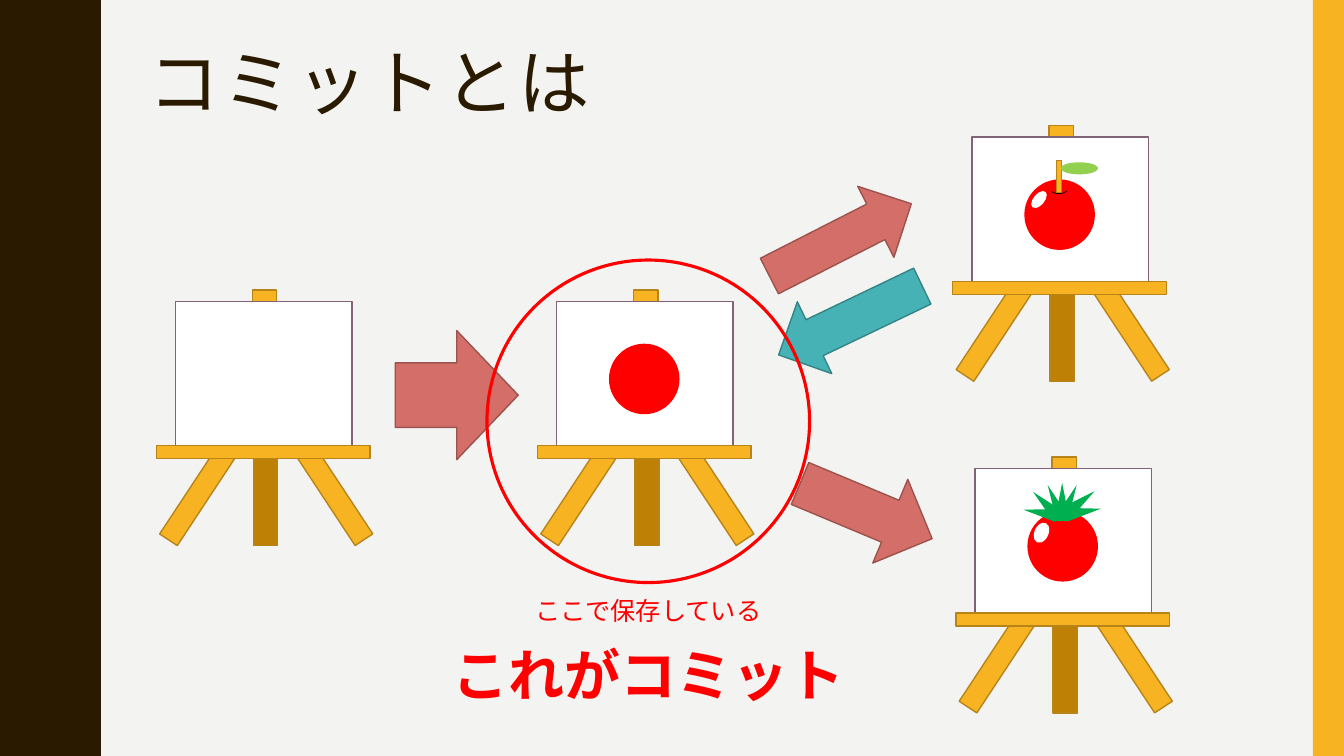
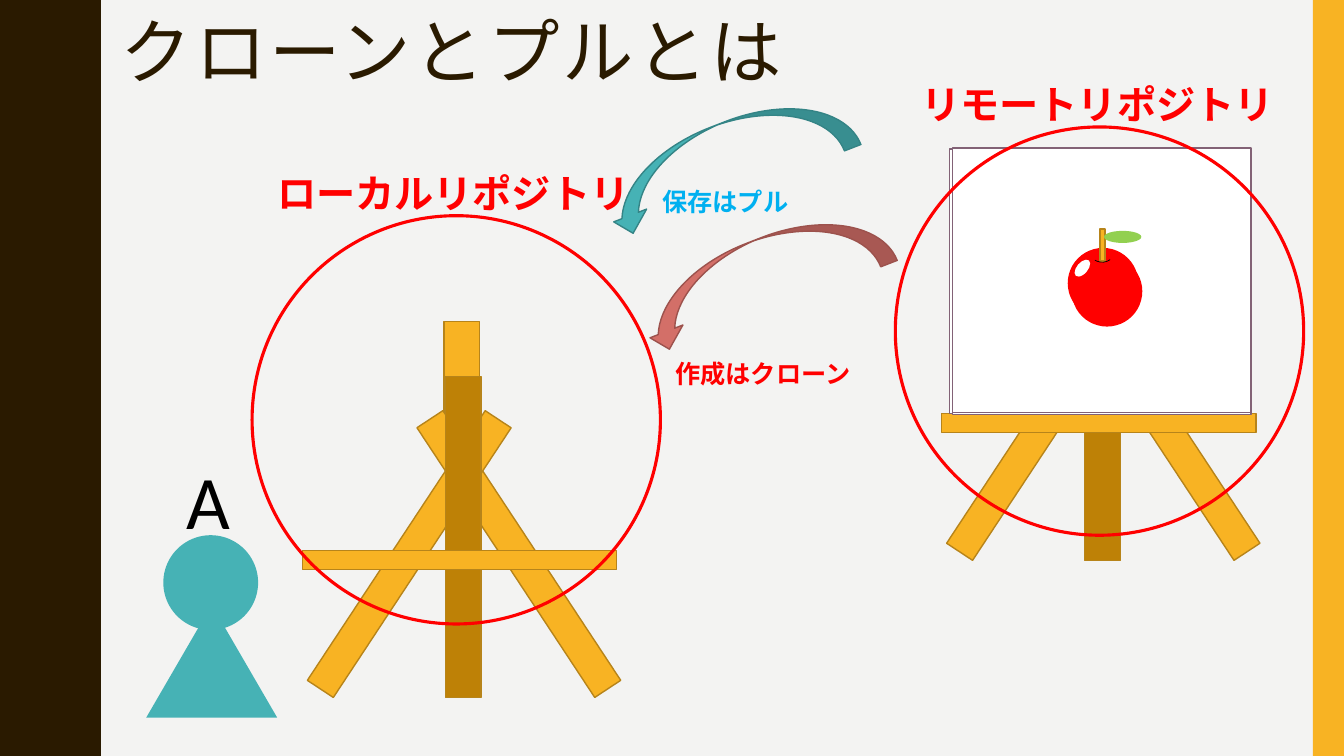
from math import cos, pi

from pptx import Presentation
from pptx.dml.color import RGBColor
from pptx.enum.shapes import MSO_SHAPE
from pptx.enum.text import MSO_ANCHOR, MSO_AUTO_SIZE, PP_ALIGN
from pptx.util import Inches, Pt

DARK, WOOD, WOOD_EDGE, POST = "2A1A00", "F8B323", "B7841A", "BE8106"
RED, ROSE, ROSE_EDGE = "FF0000", "D36F68", "9C524D"
TEAL, TEAL_EDGE = "46B2B5", "348486"
WHITE, FRAME, GREEN, LEAF = "FFFFFF", "826276", "00B050", "92D050"
rgb = RGBColor.from_string

prs = Presentation()
prs.slide_width, prs.slide_height = Inches(13.33), Inches(7.5)
# Grid of 13.33 columns and 7.5 rows
COL, ROW = prs.slide_width / 13.33, prs.slide_height / 7.5


def add(shapes, kind, x, y, w, h, fill=None, line=None, weight=1, rot=0):
    """Add a preset shape placed in grid units."""
    sp = shapes.add_shape(kind, int(x * COL), int(y * ROW), int(w * COL), int(h * ROW))
    sp.shadow.inherit = False
    sp.rotation = rot
    if fill:
        sp.fill.solid()
        sp.fill.fore_color.rgb = rgb(fill)
    else:
        sp.fill.background()
    if line:
        sp.line.color.rgb = rgb(line)
        sp.line.width = Pt(weight)
    else:
        sp.line.fill.background()
    return sp


def style(tf, text, size, color, font="Calibri", bold=False):
    """Fill a text frame with one left-aligned run and return it."""
    p = tf.paragraphs[0]
    p.text = text
    p.alignment = PP_ALIGN.LEFT
    r = p.runs[0]
    r.font.size, r.font.name, r.font.bold = Pt(size), font, bold
    r.font.color.rgb = rgb(color)
    return r


# Slides and titles
layout = prs.slide_layouts[5]
commit, clone = prs.slides.add_slide(layout), prs.slides.add_slide(layout)
for s, text, x, y, w, h in [
    (commit, "コミットとは", 1.37, 0.42, 11.13, 1.12),
    (clone, "クローンとプルとは", 1.1, 0.12, 7.28, 0.95),
]:
    title = s.shapes.title
    title.left, title.top = int(x * COL), int(y * ROW)
    title.width, title.height = int(w * COL), int(h * ROW)
    tf = title.text_frame
    tf.vertical_anchor = MSO_ANCHOR.TOP
    tf.auto_size = MSO_AUTO_SIZE.NONE
    r = style(tf, text, 51, DARK, "Roboto Condensed")
    r._r.get_or_add_rPr().set("spc", "200")
    tf.paragraphs[0].line_spacing = 0.9

# Master: background, wavy left band with five waves, right bar
master = prs.slide_master
master.background.fill.solid()
master.background.fill.fore_color.rgb = rgb("F3F3F2")
edge = [(0.875 - 0.095 * cos(2 * pi * i / 30), i / 20) for i in range(151)]
fb = commit.shapes.build_freeform(0, 0, scale=COL)
fb.add_line_segments(edge + [(0, 7.5)], close=True)
band = fb.convert_to_shape()
band.shadow.inherit = False
band.fill.solid()
band.fill.fore_color.rgb = rgb(DARK)
band.line.fill.background()
bar = add(commit.shapes, MSO_SHAPE.RECTANGLE, 13.02, 0, 0.31, 7.5, WOOD)
for i, sp in enumerate([band, bar]):
    master.shapes.element.insert(2 + i, sp.element)

# Easels: parts are offset from the left end of the shelf
peg = (0.72, -1.31, 0.71, 0.24, WOOD, WOOD_EDGE, 90)
legs = [
    (0.37, -0.08, 2.18, 0.21, WOOD, WOOD_EDGE, 56.6),
    (-0.37, -0.08, 2.18, 0.21, WOOD, WOOD_EDGE, 123.4),
    (0, -0.21, 2.17, 0.24, POST, WOOD_EDGE, 90),
]
canvas = (0.19, -1.43, 1.75, 1.55, WHITE, FRAME, 0)
shelf = (0, 0, 2.12, 0.13, WOOD, WOOD_EDGE, 0)
full = [peg, *legs, canvas, shelf]
for s, x, y, k, parts in [
    (commit, 1.55, 4.42, 1, full),
    (commit, 5.33, 4.42, 1, full),
    (commit, 9.45, 2.79, 1, full),
    (commit, 9.48, 6.08, 1, full),
    (clone, 9.34, 4.1, 1.47, [*legs, shelf]),
    (clone, 3, 5.46, 1.47, [peg, *legs, shelf]),
]:
    easel = s.shapes.add_group_shape().shapes
    for dx, dy, w, h, fill, line, rot in parts:
        add(easel, MSO_SHAPE.RECTANGLE, x + k * dx, y + k * dy, k * w, k * h, fill, line, rot=rot)

# Stacked canvases of the remote repository
for x, y in [(9.42, 1.48), (9.45, 1.49), (9.45, 1.47)]:
    add(clone.shapes, MSO_SHAPE.RECTANGLE, x, y, 2.96, 2.62, WHITE, FRAME)

# Plain red discs
for s, x, y in [(commit, 6.04, 3.41), (clone, 10.63, 2.54)]:
    add(s.shapes, MSO_SHAPE.OVAL, x, y, 0.7, 0.7, RED)

# Apples
for s, x, y in [(commit, 10.16, 1.78), (clone, 10.59, 2.46)]:
    apple = s.shapes.add_group_shape().shapes
    add(apple, MSO_SHAPE.OVAL, x, y, 0.7, 0.7, RED)
    add(apple, MSO_SHAPE.RECTANGLE, x + 0.32, y - 0.19, 0.05, 0.32, WOOD, WOOD_EDGE)
    dimple = add(apple, MSO_SHAPE.ARC, x + 0.21, y - 0.12, 0.27, 0.26,
                 line="000000", weight=0.5, rot=144.8)
    dimple.adjustments[0], dimple.adjustments[1] = 162, 203.86
    add(apple, MSO_SHAPE.OVAL, x + 0.36, y - 0.17, 0.37, 0.12, LEAF)
    add(apple, MSO_SHAPE.OVAL, x + 0.09, y + 0.1, 0.11, 0.2, WHITE, rot=40.5)

# Tomato with a fan of leaves
tomato = commit.shapes.add_group_shape().shapes
add(tomato, MSO_SHAPE.OVAL, 10.19, 5.07, 0.7, 0.7, RED)
for x, y, w, h, rot in [
    (10.66, 4.81, 0.13, 0.33, 52.2),
    (10.57, 4.8, 0.1, 0.29, 23.9),
    (10.69, 4.91, 0.13, 0.33, 80.1),
    (10.3, 4.83, 0.13, 0.33, 314.1),
    (10.4, 4.8, 0.1, 0.29, 336.1),
    (10.25, 4.92, 0.13, 0.33, 279.9),
    (10.47, 4.79, 0.13, 0.33, 0),
]:
    add(tomato, MSO_SHAPE.ISOSCELES_TRIANGLE, x, y, w, h, GREEN, rot=rot)
add(tomato, MSO_SHAPE.OVAL, 10.26, 5.18, 0.14, 0.21, WHITE, rot=24.4)
add(tomato, MSO_SHAPE.RECTANGLE, 10.45, 5.09, 0.16, 0.08, GREEN)

# Person A
person = clone.shapes.add_group_shape().shapes
add(person, MSO_SHAPE.OVAL, 1.62, 5.31, 0.94, 0.94, TEAL)
add(person, MSO_SHAPE.ISOSCELES_TRIANGLE, 1.45, 6, 1.3, 1.12, TEAL)

# Arrows
DOWN, CURVED = MSO_SHAPE.DOWN_ARROW, MSO_SHAPE.CURVED_RIGHT_ARROW
for s, kind, x, y, w, h, fill, line, rot in [
    (commit, DOWN, 3.89, 3.31, 1.28, 1.22, ROSE, ROSE_EDGE, 270),
    (commit, DOWN, 7.94, 1.59, 0.79, 1.58, ROSE, ROSE_EDGE, 243),
    (commit, DOWN, 8.14, 4.36, 0.9, 1.42, ROSE, ROSE_EDGE, 292.7),
    (commit, DOWN, 8.04, 2.39, 0.79, 1.58, TEAL, TEAL_EDGE, 64.4),
    (clone, CURVED, 7.21, 1.43, 0.7, 2.6, ROSE, ROSE_EDGE, 68.7),
    (clone, CURVED, 6.85, 0.28, 0.7, 2.6, TEAL, TEAL_EDGE, 68.7),
]:
    add(s.shapes, kind, x, y, w, h, fill, line, rot=rot)

# Red rings
for s, x, y, d in [(commit, 4.83, 2.58, 3.2), (clone, 8.88, 1.26, 4.05), (clone, 2.5, 2.14, 4.05)]:
    add(s.shapes, MSO_SHAPE.OVAL, x, y, d, d, line=RED, weight=2.25)

# Labels
for s, text, x, y, w, h, size, color, bold, wrap in [
    (commit, "ここで保存している", 5.21, 5.86, 3.06, 0.4, 18, RED, False, True),
    (commit, "これがコミット", 4.39, 6.31, 4.17, 0.77, 40, RED, True, True),
    (clone, "A", 1.75, 4.45, 0.88, 1.01, 54, "000000", False, True),
    (clone, "リモートリポジトリ", 9.04, 0.75, 3.74, 0.57, 28, RED, True, False),
    (clone, "ローカルリポジトリ", 2.65, 1.63, 3.74, 0.57, 28, RED, True, False),
    (clone, "作成はクローン", 6.6, 3.51, 1.97, 0.4, 18, RED, True, False),
    (clone, "保存はプル", 6.47, 1.8, 1.46, 0.4, 18, "00B0F0", True, False),
]:
    box = s.shapes.add_textbox(int(x * COL), int(y * ROW), int(w * COL), int(h * ROW))
    tf = box.text_frame
    tf.word_wrap = wrap
    tf.auto_size = MSO_AUTO_SIZE.SHAPE_TO_FIT_TEXT
    style(tf, text, size, color, bold=bold)

prs.save("out.pptx")
